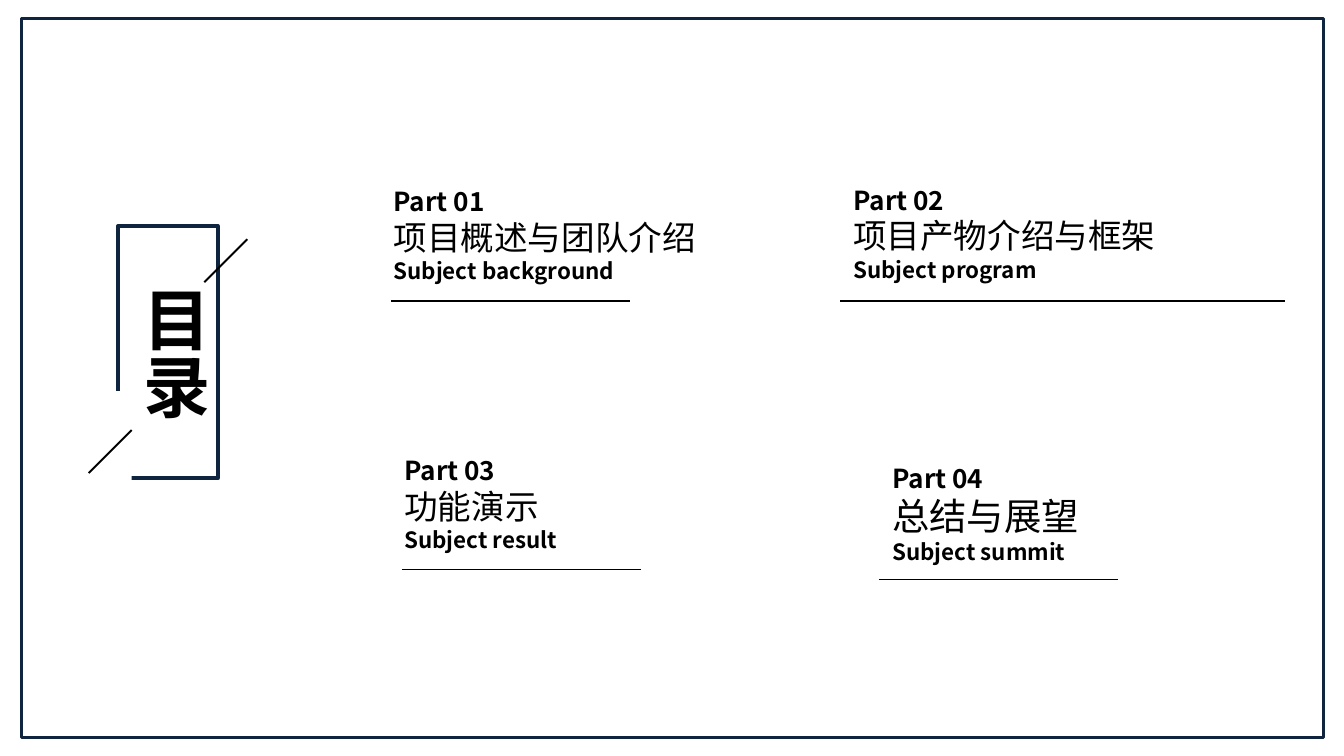
from lxml.etree import SubElement
from pptx import Presentation
from pptx.dml.color import RGBColor
from pptx.enum.shapes import MSO_CONNECTOR, MSO_SHAPE
from pptx.enum.text import MSO_AUTO_SIZE
from pptx.oxml.ns import qn
from pptx.util import Inches, Pt

NAVY, BLACK, WHITE = "0F243E", "000000", "FFFFFF"
HEADING_FONT, LABEL_FONT = "Arial", "Noto Sans CJK SC"


def color(value):
    return RGBColor.from_string(value)


def add_rectangle(slide, left, top, width, height, fill=None, line=None, weight=1):
    rectangle = slide.shapes.add_shape(
        MSO_SHAPE.RECTANGLE, Inches(left), Inches(top), Inches(width), Inches(height)
    )
    rectangle.shadow.inherit = False
    if fill:
        rectangle.fill.solid()
        rectangle.fill.fore_color.rgb = color(fill)
    else:
        rectangle.fill.background()
    if line:
        rectangle.line.color.rgb = color(line)
        rectangle.line.width = Pt(weight)
    else:
        rectangle.line.fill.background()


def add_line(slide, start, end, weight):
    rule = slide.shapes.add_connector(
        MSO_CONNECTOR.STRAIGHT, *(Inches(value) for value in (*start, *end))
    )
    rule.line.color.rgb = color(BLACK)
    rule.line.width = Pt(weight)
    SubElement(rule._element.spPr, qn("a:effectLst"))


def style_font(font, size, name, bold):
    font.size = Pt(size)
    font.bold = bold
    font.color.rgb = color(BLACK)
    font.name = name


def add_text(slide, left, top, width, height, paragraphs):
    box = slide.shapes.add_textbox(
        Inches(left), Inches(top), Inches(width), Inches(height)
    )
    frame = box.text_frame
    frame.word_wrap = True
    frame.auto_size = MSO_AUTO_SIZE.SHAPE_TO_FIT_TEXT
    for index, runs in enumerate(paragraphs):
        paragraph = frame.add_paragraph() if index else frame.paragraphs[0]
        for text, *style in runs:
            run = paragraph.add_run()
            run.text = text
            style_font(run.font if len(runs) > 1 else paragraph.font, *style)
    return frame


def add_contents_title(slide):
    add_rectangle(slide, 0.88, 1.68, 0.74, 1.88, line=NAVY, weight=2)
    add_rectangle(slide, 0.83, 2.91, 0.15, 0.91, fill=WHITE)
    title = add_text(slide, 0.84, 2.03, 0.81, 1.23, [[("目录", 36, HEADING_FONT, True)]])
    title._txBody.bodyPr.set("vert", "eaVert")
    add_line(slide, (1.84, 1.78), (1.52, 2.1), 1)
    add_line(slide, (0.98, 3.2), (0.66, 3.52), 1)


def add_part(slide, number, heading, subject, box, rule, heading_size=18, joined=False):
    label_run = (f"Part {number:02}", 14, LABEL_FONT, True)
    heading_run = (heading, heading_size, HEADING_FONT, False)
    subject_run = (subject, 12, LABEL_FONT, True)
    body = [[heading_run, subject_run]] if joined else [[heading_run], [subject_run]]
    add_text(slide, *box, [[label_run], *body])
    left, top, length = rule
    add_line(slide, (left, top), (left + length, top), 0.75)


def main():
    deck = Presentation()
    deck.slide_width = Inches(10)
    deck.slide_height = deck.slide_width * 9 // 16
    slide = deck.slides.add_slide(deck.slide_layouts[6])
    add_rectangle(slide, 0.16, 0.14, 9.69, 5.35, line=NAVY, weight=1.5)
    add_contents_title(slide)
    add_part(slide, 1, "项目概述与团队介绍", "Subject background",
             (2.83, 1.33, 3.71, 0.84), (2.91, 2.24, 1.78))
    add_part(slide, 3, "功能演示", "Subject result",
             (2.91, 3.33, 3.71, 0.84), (2.99, 4.24, 1.78))
    add_part(slide, 2, "项目产物介绍与框架", "Subject program",
             (6.25, 1.32, 3.74, 0.84), (6.25, 2.24, 3.31))
    add_part(slide, 4, "总结与展望", "Subject summit",
             (6.54, 3.39, 2.01, 0.91), (6.54, 4.31, 1.78),
             heading_size=20, joined=True)
    deck.save("out.pptx")


if __name__ == "__main__":
    main()
